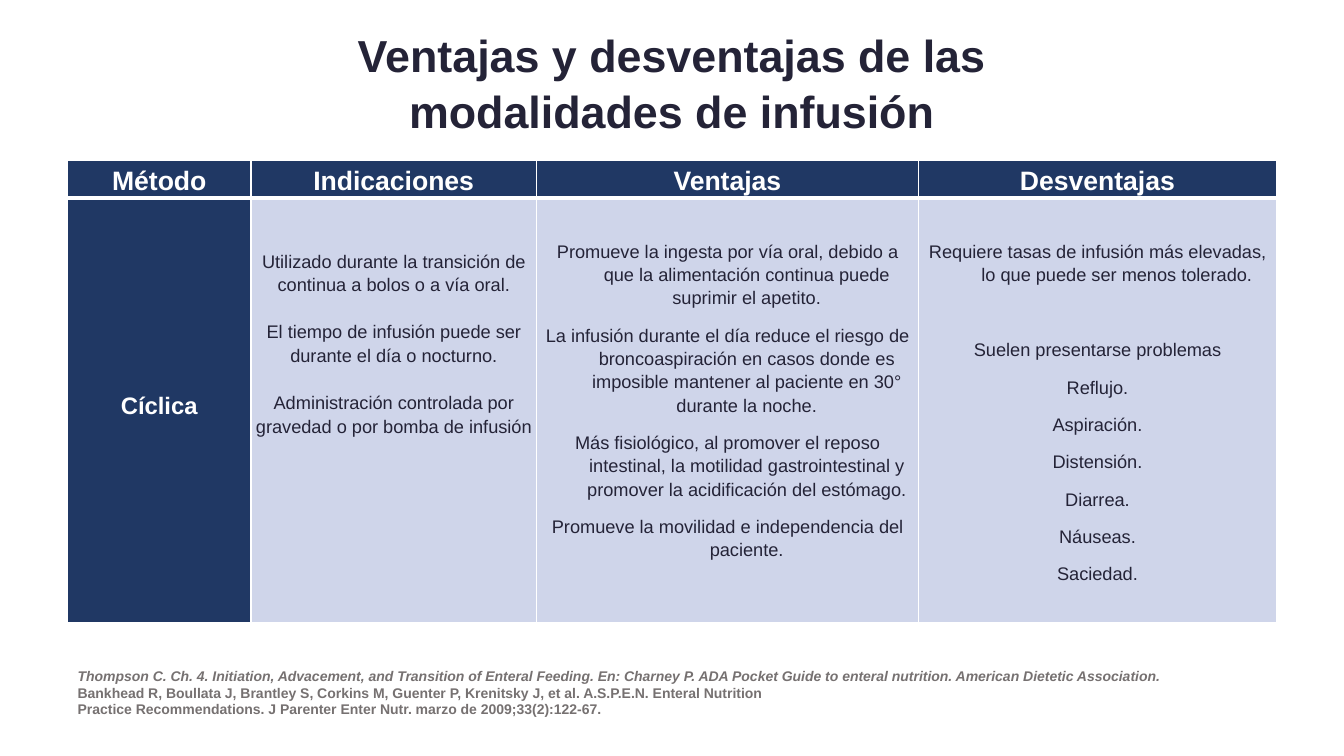
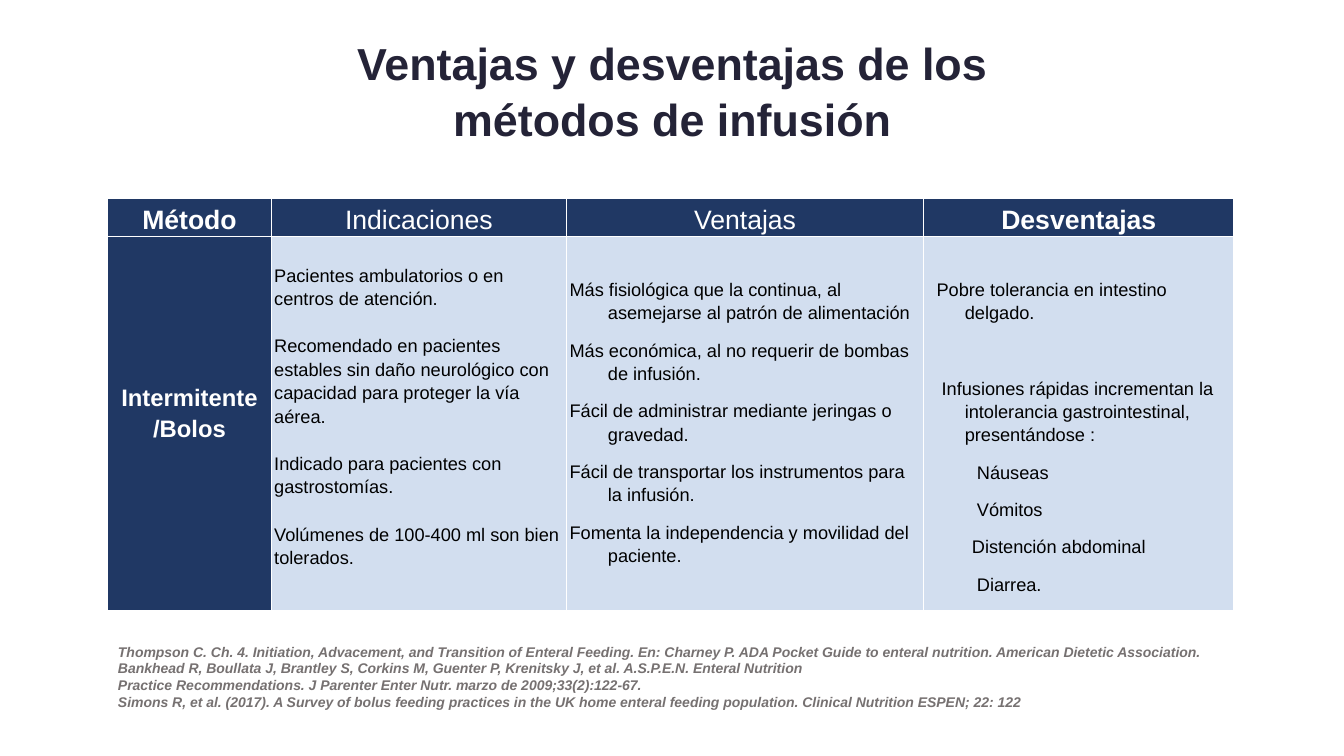
from dataclasses import dataclass

from lxml.etree import SubElement
from pptx import Presentation
from pptx.dml.color import RGBColor
from pptx.enum.text import MSO_ANCHOR, MSO_AUTO_SIZE, PP_ALIGN
from pptx.oxml.ns import qn
from pptx.util import Inches, Pt

FONT = "Arial"
NAVY, WHITE, INK, BLACK, GRAY = "203864", "FFFFFF", "242337", "000000", "767171"
LEFT, CENTER = PP_ALIGN.LEFT, PP_ALIGN.CENTER
BODY_SIZE, LEADING = 13, 1.15
BLANK = 17.2  # height of one body line, in points
ITEM_GAP = 10
HANG = 0.38
HEADERS = ("Método", "Indicaciones", "Ventajas", "Desventajas")
BORDERS = ("a:lnL", "a:lnR", "a:lnT", "a:lnB")

THOMPSON = ("Thompson C. Ch. 4. Initiation, Advacement, and Transition of Enteral Feeding. "
            "En: Charney P. ADA Pocket Guide to enteral nutrition. American Dietetic Association.")
BANKHEAD = ("Bankhead R, Boullata J, Brantley S, Corkins M, Guenter P, Krenitsky J, et al. "
            "A.S.P.E.N. Enteral Nutrition")
PRACTICE = "Practice Recommendations. J Parenter Enter Nutr. marzo de 2009;33(2):122-67."
SIMONS = ("Simons R, et al. (2017). A Survey of bolus feeding practices in the UK home enteral "
          "feeding population. Clinical Nutrition ESPEN; 22: 122")


@dataclass
class Item:
    text: str
    after: float = ITEM_GAP
    left: float = HANG
    first: float = -HANG


@dataclass
class Column:
    top: float  # inset above the first line, in inches
    items: list[Item]
    align: PP_ALIGN = CENTER


@dataclass
class Method:
    title: tuple[str, str]
    title_box: tuple[float, float, float, float]
    name: tuple[str, ...]
    name_top: float
    origin: tuple[float, float]
    widths: tuple[float, ...]
    heights: tuple[float, float]
    bold_headers: tuple[bool, ...]
    header_rule: float
    fill: str
    ink: str
    columns: list[Column]
    sources: list[tuple[str, bool]]  # text, italic
    sources_box: tuple[float, float, float, float]


def plain(*texts: str) -> list[Item]:
    """Unindented items, one line apart."""
    return [Item(t, BLANK, 0, 0) for t in texts]


def hanging(*texts: str) -> list[Item]:
    return [Item(t) for t in texts]


def rgb(value: str) -> RGBColor:
    return RGBColor.from_string(value)


def add_text(tf, text: str, *, size: float, color: str, bold: bool = False,
             italic: bool = False, align: PP_ALIGN = LEFT, leading: float = 1.0,
             after: float = 0, left: float = 0, first: float = 0) -> None:
    """Write one paragraph, using the frame's empty first one if it is free."""
    p = tf.paragraphs[0] if not tf.paragraphs[0].runs else tf.add_paragraph()
    p.alignment, p.line_spacing = align, leading
    p.space_before, p.space_after = Pt(0), Pt(after)
    pPr = p._p.get_or_add_pPr()
    pPr.set("marL", str(Inches(left)))
    pPr.set("indent", str(Inches(first)))
    SubElement(pPr, qn("a:buNone"))
    r = p.add_run()
    r.text = text
    f = r.font
    f.name, f.size, f.bold, f.italic = FONT, Pt(size), bold, italic
    f.color.rgb = rgb(color)


def place(sp, box: tuple[float, float, float, float], anchor: MSO_ANCHOR):
    sp.left, sp.top, sp.width, sp.height = (Inches(v) for v in box)
    tf = sp.text_frame
    tf.word_wrap, tf.auto_size, tf.vertical_anchor = True, MSO_AUTO_SIZE.NONE, anchor
    return tf


def style_cell(cell, fill: str, *, top: float = 0.02, anchor: MSO_ANCHOR = MSO_ANCHOR.TOP,
               rule_above: float = 1, rule_below: float = 1):
    """Set insets, white borders and fill; return the text frame."""
    cell.margin_left = cell.margin_right = Inches(0.03)
    cell.margin_top, cell.margin_bottom = Inches(top), Inches(0.02)
    cell.vertical_anchor = anchor
    tcPr = cell._tc.get_or_add_tcPr()
    for tag, width in zip(BORDERS, (1, 1, rule_above, rule_below)):
        ln = SubElement(tcPr, qn(tag), w=str(Pt(width)))
        SubElement(SubElement(ln, qn("a:solidFill")), qn("a:srgbClr"), val=WHITE)
    cell.fill.solid()
    cell.fill.fore_color.rgb = rgb(fill)
    return cell.text_frame


def add_method_table(s, m: Method) -> None:
    x, y = m.origin
    table = s.shapes.add_table(2, len(HEADERS), Inches(x), Inches(y),
                               Inches(sum(m.widths)), Inches(sum(m.heights))).table
    table.horz_banding = False
    for col, width in zip(table.columns, m.widths):
        col.width = Inches(width)
    for row, height in zip(table.rows, m.heights):
        row.height = Inches(height)

    # Header row
    for i, (header, bold) in enumerate(zip(HEADERS, m.bold_headers)):
        tf = style_cell(table.cell(0, i), NAVY, anchor=MSO_ANCHOR.MIDDLE,
                        rule_below=m.header_rule)
        add_text(tf, header, size=19, color=WHITE, bold=bold, align=CENTER, leading=LEADING)

    # Method name
    tf = style_cell(table.cell(1, 0), NAVY, top=m.name_top, rule_above=m.header_rule)
    for line in m.name:
        add_text(tf, line, size=17, color=WHITE, bold=True, align=CENTER, leading=LEADING)

    # Indications, advantages, disadvantages
    for i, column in enumerate(m.columns, start=1):
        tf = style_cell(table.cell(1, i), m.fill, top=column.top, rule_above=m.header_rule)
        for item in column.items:
            add_text(tf, item.text, size=BODY_SIZE, color=m.ink, align=column.align,
                     leading=LEADING, after=item.after, left=item.left, first=item.first)


def add_method_slide(prs, m: Method) -> None:
    s = prs.slides.add_slide(prs.slide_layouts[1])
    title, body = s.placeholders[0], s.placeholders[1]
    tf = place(title, m.title_box, MSO_ANCHOR.MIDDLE)
    for line in m.title:
        add_text(tf, line, size=32, color=INK, bold=True, align=CENTER, after=1.8)
    add_method_table(s, m)
    tf = place(body, m.sources_box, MSO_ANCHOR.TOP)
    for text, italic in m.sources:
        add_text(tf, text, size=10, color=GRAY, bold=True, italic=italic)


CYCLIC = Method(
    title=("Ventajas y desventajas de las", "modalidades de infusión"),
    title_box=(0.49, 0.23, 12.35, 1.18),
    name=("Cíclica",), name_top=1.89,
    origin=(0.67, 1.59), widths=(1.82, 2.83, 3.79, 3.55), heights=(0.36, 4.21),
    bold_headers=(True,) * 4, header_rule=3, fill="CFD5EA", ink=INK,
    columns=[
        Column(0.5, plain(
            "Utilizado durante la transición de continua a bolos o a vía oral.",
            "El tiempo de infusión puede ser durante el día o nocturno.",
            "Administración controlada por gravedad o por bomba de infusión")),
        Column(0.4, hanging(
            "Promueve la ingesta por vía oral, debido a que la alimentación continua puede "
            "suprimir el apetito.",
            "La infusión durante el día reduce el riesgo de broncoaspiración en casos donde es "
            "imposible mantener al paciente en 30° durante la noche.",
            "Más fisiológico, al promover el reposo intestinal, la motilidad gastrointestinal "
            "y promover la acidificación del estómago.",
            "Promueve la movilidad e independencia del paciente.")),
        Column(0.4, [
            Item("Requiere tasas de infusión más elevadas, lo que puede ser menos tolerado.",
                 BLANK + 2 * ITEM_GAP),
            *hanging("Suelen presentarse problemas", "Reflujo.", "Aspiración.", "Distensión.",
                     "Diarrea.", "Náuseas.", "Saciedad.")]),
    ],
    sources=[(THOMPSON, True), (BANKHEAD, False), (PRACTICE, False)],
    sources_box=(0.67, 6.57, 12, 0.6),
)

BOLUS = Method(
    title=("Ventajas y desventajas de los", "métodos de infusión"),
    title_box=(0.38, 0.31, 12.58, 1.18),
    name=("Intermitente", "/Bolos"), name_top=1.43,
    origin=(1.07, 1.97), widths=(1.62, 2.93, 3.54, 3.08), heights=(0.34, 3.71),
    bold_headers=(True, False, False, True), header_rule=1, fill="D2DEEF", ink=BLACK,
    columns=[
        Column(0.26, plain(
            "Pacientes ambulatorios o en centros de atención.",
            "Recomendado en pacientes estables sin daño neurológico con capacidad para "
            "proteger la vía aérea.",
            "Indicado para pacientes con gastrostomías.",
            "Volúmenes de 100-400 ml son bien tolerados."), LEFT),
        Column(0.4, hanging(
            "Más fisiológica que la continua, al asemejarse al patrón de alimentación",
            "Más económica, al no requerir de bombas de infusión.",
            "Fácil de administrar mediante jeringas o gravedad.",
            "Fácil de transportar los instrumentos para la infusión.",
            "Fomenta la independencia y movilidad del paciente."), LEFT),
        Column(0.4, [
            Item("Pobre tolerancia en intestino delgado.", BLANK + 2 * ITEM_GAP, first=-0.28),
            Item("Infusiones rápidas incrementan la intolerancia gastrointestinal, "
                 "presentándose :", first=-0.23),
            Item("Náuseas", left=0.5, first=0),
            Item("Vómitos", left=0.5, first=0),
            Item("Distención abdominal", left=0.45, first=0),
            Item("Diarrea.", left=0.5, first=0)], LEFT),
    ],
    sources=[(t, True) for t in (THOMPSON, BANKHEAD, PRACTICE, SIMONS)],
    sources_box=(1.07, 6.33, 11.7, 0.76),
)


def main() -> None:
    prs = Presentation()
    prs.slide_width, prs.slide_height = Inches(13.33), Inches(7.5)
    for method in (CYCLIC, BOLUS):
        add_method_slide(prs, method)
    prs.save("out.pptx")


if __name__ == "__main__":
    main()
